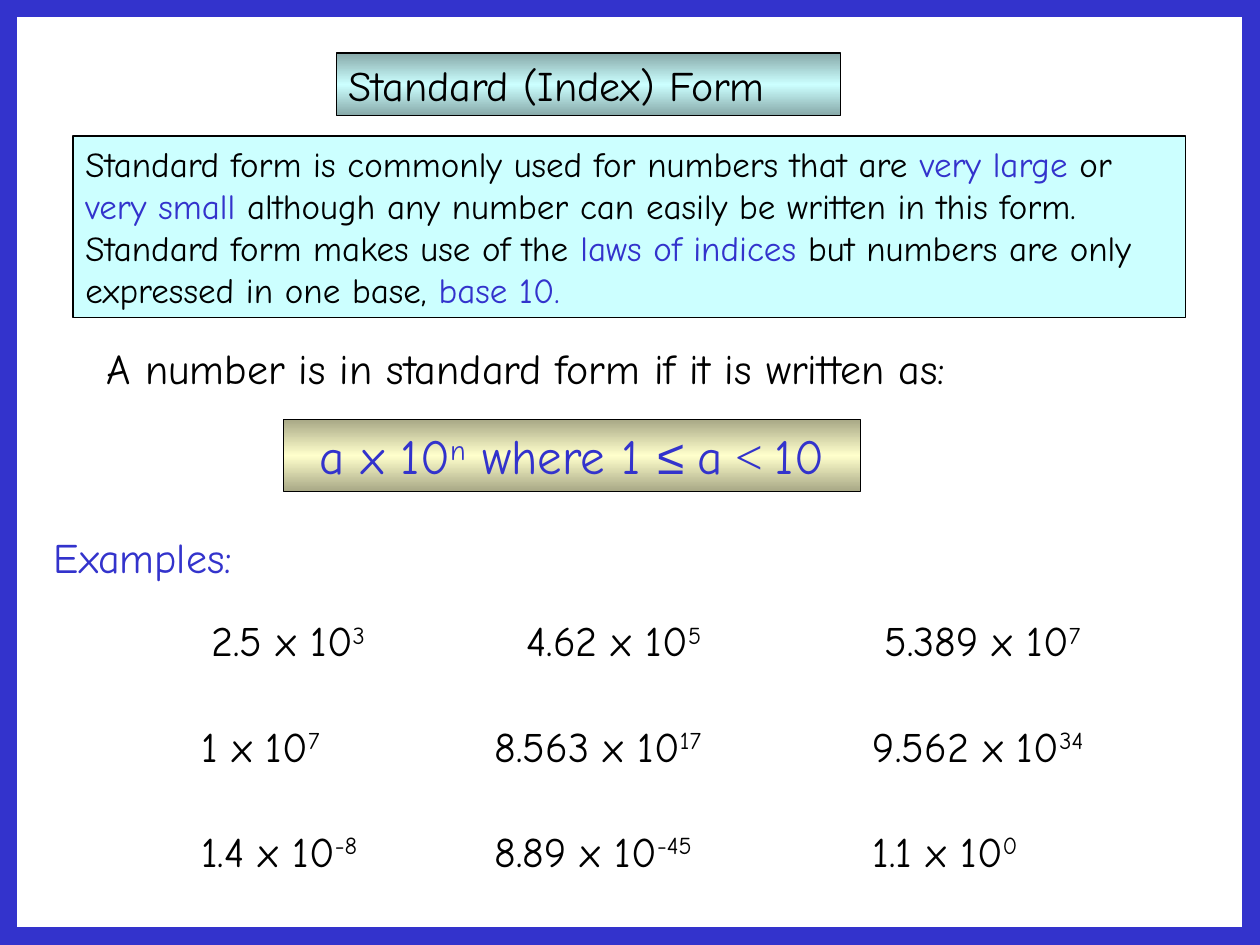
from copy import deepcopy

from pptx import Presentation
from pptx.dml.color import RGBColor
from pptx.enum.shapes import MSO_SHAPE as Shape
from pptx.enum.text import MSO_ANCHOR as Anchor, MSO_AUTO_SIZE as AutoSize, PP_ALIGN as Align
from pptx.oxml.ns import qn
from pptx.util import Inches, Pt

COLORS = {
    "black": "000000",
    "white": "FFFFFF",
    "blue": "3333CC",
    "cyan": "CCFFFF",
    "cyan_shade": "86A8A8",
    "cream": "FFFFCC",
    "cream_shade": "A8A886",
}
SUPERSCRIPT = "30000"
BLUE = {"color": "blue"}


def rgb(name):
    return RGBColor.from_string(COLORS[name])


class SlideBuilder:
    font_name = "Comic Neue"

    def __init__(self, slide):
        self.slide = slide
        slide.background.fill.solid()
        slide.background.fill.fore_color.rgb = rgb("white")

    def fill_text(self, shape, runs, size=24, color="black", align=Align.LEFT):
        """Each run is a string or a (string, format overrides) pair."""
        frame = shape.text_frame
        frame_format = {
            "word_wrap": True,
            "auto_size": AutoSize.SHAPE_TO_FIT_TEXT,
            "vertical_anchor": Anchor.TOP,
        }
        for attribute, value in frame_format.items():
            setattr(frame, attribute, value)
        paragraph = frame.paragraphs[0]
        paragraph.alignment = align
        for item in runs:
            text, overrides = (item, {}) if isinstance(item, str) else item
            run = paragraph.add_run()
            run.text = text
            font_format = {"name": overrides.get("name", self.font_name), "size": Pt(size)}
            for attribute, value in font_format.items():
                setattr(run.font, attribute, value)
            run.font.color.rgb = rgb(overrides.get("color", color))
            if overrides.get("raised"):
                run.font._element.set("baseline", SUPERSCRIPT)

    def text(self, box, runs, **style):
        self.fill_text(self.slide.shapes.add_textbox(*map(Inches, box)), runs, **style)

    def rectangle(self, box, line_color="black", line_width=0.75):
        shape = self.slide.shapes.add_shape(Shape.RECTANGLE, *map(Inches, box))
        shape.shadow.inherit = False
        shape.line.color.rgb = rgb(line_color)
        shape.line.width = Pt(line_width)
        return shape

    def panel(self, box, fill, runs, **style):
        shape = self.rectangle(box)
        shape.fill.solid()
        shape.fill.fore_color.rgb = rgb(fill)
        self.fill_text(shape, runs, **style)

    def banner(self, box, middle, edge, runs, **style):
        """Rectangle shaded vertically: edge colour, middle colour, edge colour."""
        shape = self.rectangle(box)
        shape.fill.gradient()
        shape.fill.gradient_angle = 90
        stop_list = shape._element.spPr.find(qn("a:gradFill")).find(qn("a:gsLst"))
        stop_list.append(deepcopy(stop_list[-1]))
        for stop, position, color in zip(
            shape.fill.gradient_stops, (0, 0.5, 1), (edge, middle, edge)
        ):
            stop.position = position
            stop.color.rgb = rgb(color)
        self.fill_text(shape, runs, **style)

    def power_of_ten(self, box, factor, exponent):
        self.text(box, [f"{factor} x 10", (exponent, {"raised": True})])

    def frame(self, width, height):
        border = self.rectangle((0, 0, width, height), "blue", 20)
        border.fill.background()


def main():
    presentation = Presentation()
    width, height = 10, 7.5
    presentation.slide_width = Inches(width)
    presentation.slide_height = Inches(height)
    builder = SlideBuilder(presentation.slides.add_slide(presentation.slide_layouts[6]))

    builder.banner((2.67, 0.42, 4, 0.5), "cyan", "cyan_shade", ["Standard (Index) Form"])
    builder.panel(
        (0.58, 1.08, 8.83, 1.44),
        "cyan",
        [
            "Standard form is commonly used for numbers that are ",
            ("very large", BLUE),
            " or ",
            ("very small", BLUE),
            " although any number can easily be written in this form. "
            "Standard form makes use of the ",
            ("laws of indices", BLUE),
            " but numbers are only expressed in one base, ",
            ("base 10.", BLUE),
        ],
        size=20,
    )
    builder.text((0.75, 2.67, 8.5, 0.5), ["A number is in standard form if it is written as:"])
    builder.banner(
        (2.25, 3.33, 4.58, 0.57),
        "cream",
        "cream_shade",
        [
            "a x 10",
            ("n", {"raised": True}),
            " where 1 ",
            ("≤ ", {"name": "Arial"}),
            "a",
            (" < ", {"name": "Times New Roman"}),
            "10",
        ],
        size=28,
        color="blue",
        align=Align.CENTER,
    )

    builder.text((0.33, 4.17, 1.83, 0.5), ["Examples:"], color="blue")
    first_columns = ((1.58, 2), (4.08, 2), (6.92, 2))
    lower_columns = ((1.5, 2), (3.83, 2.33), (6.83, 2.33))
    example_rows = [
        (4.83, first_columns, (("2.5", "3"), ("4.62", "5"), ("5.389", "7"))),
        (5.67, lower_columns, (("1", "7"), ("8.563", "17"), ("9.562", "34"))),
        (6.5, lower_columns, (("1.4", "-8"), ("8.89", "-45"), ("1.1", "0"))),
    ]
    for top, columns, examples in example_rows:
        for (left, box_width), (factor, exponent) in zip(columns, examples):
            builder.power_of_ten((left, top, box_width, 0.5), factor, exponent)

    builder.frame(width, height)
    presentation.save("out.pptx")


if __name__ == "__main__":
    main()
